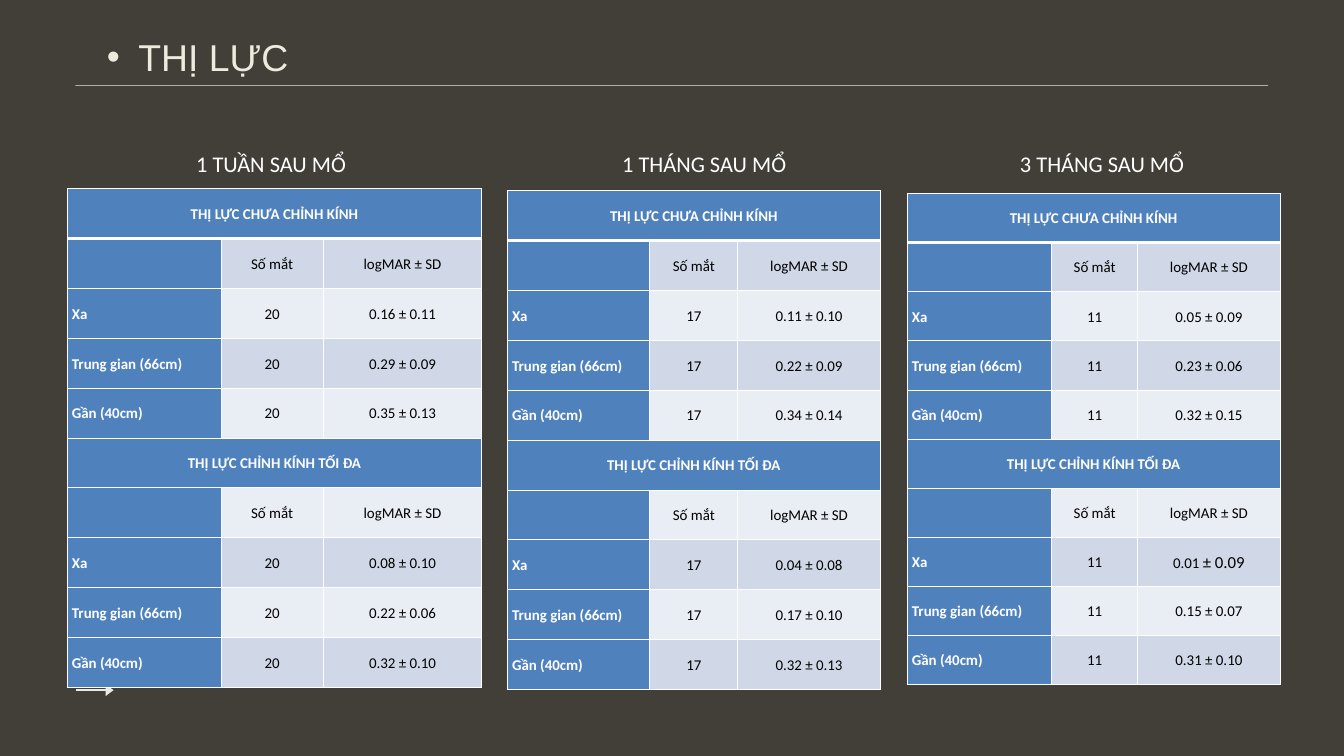
from lxml.etree import SubElement
from pptx import Presentation
from pptx.dml.color import RGBColor
from pptx.enum.shapes import MSO_SHAPE as Shape
from pptx.enum.text import MSO_ANCHOR as Anchor, MSO_AUTO_SIZE as AutoSize, PP_ALIGN as Align
from pptx.oxml.ns import qn
from pptx.util import Pt

EMU_PER_PX = 9144
COLORS = {
    "background": "423F39",
    "cream": "EDEADE",
    "white": "FFFFFF",
    "black": "000000",
    "blue": "4F81BD",
    "band_dark": "D0D8E8",
    "band_light": "E9EDF4",
}
SECTIONS = ["THỊ LỰC CHƯA CHỈNH KÍNH", "THỊ LỰC CHỈNH KÍNH TỐI ĐA"]
DISTANCES = ["Xa", "Trung gian (66cm)", "Gần (40cm)"]
VISITS = [
    {
        "title": "1 TUẦN SAU MỔ", "title_left": 282, "left": 100, "top": 281,
        "height": 742, "columns": [229, 152, 236], "eyes": "20",
        "values": [["0.16 ± 0.11", "0.29 ± 0.09", "0.35 ± 0.13"],
                   ["0.08 ± 0.10", "0.22 ± 0.06", "0.32 ± 0.10"]],
    },
    {
        "title": "1 THÁNG SAU MỔ", "title_left": 916, "left": 755, "top": 284,
        "height": 742, "columns": [212, 131, 212], "eyes": "17",
        "values": [["0.11 ± 0.10", "0.22 ± 0.09", "0.34 ± 0.14"],
                   ["0.04 ± 0.08", "0.17 ± 0.10", "0.32 ± 0.13"]],
    },
    {
        "title": "3 THÁNG SAU MỔ", "title_left": 1508, "left": 1350, "top": 288,
        "height": 731, "columns": [215, 128, 212], "eyes": "11",
        "values": [["0.05 ± 0.09", "0.23 ± 0.06", "0.32 ± 0.15"],
                   [("0.01 ", "± 0.09"), "0.15 ± 0.07", "0.31 ± 0.10"]],
    },
]


def px(length):
    return int(length * EMU_PER_PX)


def set_format(target, values):
    for name, value in values.items():
        setattr(target, name, value)


def paint(fill, color):
    fill.solid()
    fill.fore_color.rgb = RGBColor.from_string(COLORS[color])


def add_span(para, text, size, color, font="Calibri", bold=False):
    span = para.add_run()
    span.text = text
    set_format(span.font, {"size": Pt(size), "name": font, "bold": bold})
    span.font.color.rgb = RGBColor.from_string(COLORS[color])


def style_shape(shape):
    shape.shadow.inherit = False
    paint(shape.fill, "cream")
    shape.line.fill.background()


def add_title(page, text):
    title = page.shapes.title
    set_format(title, {"left": px(112), "top": px(51), "width": px(1888), "height": px(76)})
    set_format(title.text_frame, {
        "margin_left": 0, "margin_top": 0, "margin_right": 0, "margin_bottom": 0,
        "vertical_anchor": Anchor.TOP, "word_wrap": True,
        "auto_size": AutoSize.SHAPE_TO_FIT_TEXT,
    })
    para = title.text_frame.paragraphs[0]
    properties = para._p.get_or_add_pPr()
    properties.set("marL", str(px(94)))
    properties.set("indent", str(px(-47)))
    SubElement(properties, qn("a:buFont"), typeface="Arial")
    SubElement(properties, qn("a:buChar"), char="•")
    set_format(para, {"alignment": Align.LEFT, "line_spacing": Pt(48)})
    add_span(para, text, 40, "cream", "Arial")


def add_rule(page):
    style_shape(page.shapes.add_shape(Shape.RECTANGLE, px(112), px(127), px(1775), px(1)))


def add_polygon(group, points):
    builder = group.shapes.build_freeform(*points[0], scale=EMU_PER_PX)
    builder.add_line_segments(points[1:], close=True)
    style_shape(builder.convert_to_shape())


def add_arrow(page):
    group = page.shapes.add_group_shape()
    add_polygon(group, [(113, 1026), (160, 1026), (160, 1029), (113, 1029)])
    add_polygon(group, [(157, 1036), (157, 1019), (169, 1027)])


def add_label(page, left, text):
    box = page.shapes.add_textbox(px(left), px(218), px(434), px(50))
    set_format(box.text_frame, {"word_wrap": True, "auto_size": AutoSize.SHAPE_TO_FIT_TEXT})
    add_span(box.text_frame.paragraphs[0], text, 24, "white")


def add_borders(cell, row):
    widths = {"L": 1, "R": 1, "T": 3 if row == 1 else 1, "B": 3 if row == 0 else 1}
    for side, width in widths.items():
        line = SubElement(cell._tc.get_or_add_tcPr(), qn(f"a:ln{side}"), w=str(Pt(width)))
        fill = SubElement(line, qn("a:solidFill"))
        SubElement(fill, qn("a:srgbClr"), val=COLORS["white"])


def fill_cell(cell, row, column, content, heading):
    blue = heading or column == 0
    add_borders(cell, row)
    paint(cell.fill, "blue" if blue else "band_dark" if row % 2 else "band_light")
    set_format(cell, {
        "margin_left": px(7), "margin_right": px(7), "margin_top": 0, "margin_bottom": 0,
        "vertical_anchor": Anchor.MIDDLE,
    })
    para = cell.text_frame.paragraphs[0]
    centered = heading or column > 0
    set_format(para, {"alignment": Align.CENTER if centered else Align.LEFT, "line_spacing": 1.07})
    parts = content if isinstance(content, tuple) else (content,)
    for text, size in zip(parts, (16, 18)):
        if text:
            add_span(para, text, size, "white" if blue else "black", bold=blue)


def table_rows(visit):
    rows = []
    for section, values in zip(SECTIONS, visit["values"]):
        rows.append([section, "", ""])
        rows.append(["", "Số mắt", "logMAR ± SD"])
        rows += [[distance, visit["eyes"], value] for distance, value in zip(DISTANCES, values)]
    return rows


def add_visit_table(page, visit):
    rows = table_rows(visit)
    columns = visit["columns"]
    table = page.shapes.add_table(
        len(rows), len(columns), px(visit["left"]), px(visit["top"]),
        px(sum(columns)), px(visit["height"]),
    ).table
    for column, width in zip(table.columns, columns):
        column.width = px(width)
    for row, contents in enumerate(rows):
        heading = contents[0] in SECTIONS
        table.rows[row].height = px(visit["height"] / len(rows))
        for column, content in enumerate(contents):
            fill_cell(table.cell(row, column), row, column, content, heading)
        if heading:
            table.cell(row, 0).merge(table.cell(row, len(columns) - 1))


def main():
    deck = Presentation()
    set_format(deck, {"slide_width": px(2000), "slide_height": px(1125)})
    page = deck.slides.add_slide(deck.slide_layouts[5])
    paint(page.background.fill, "background")
    add_rule(page)
    add_arrow(page)
    add_title(page, "THỊ LỰC")
    for visit in VISITS:
        add_visit_table(page, visit)
        add_label(page, visit["title_left"], visit["title"])
    deck.save("out.pptx")


if __name__ == "__main__":
    main()
